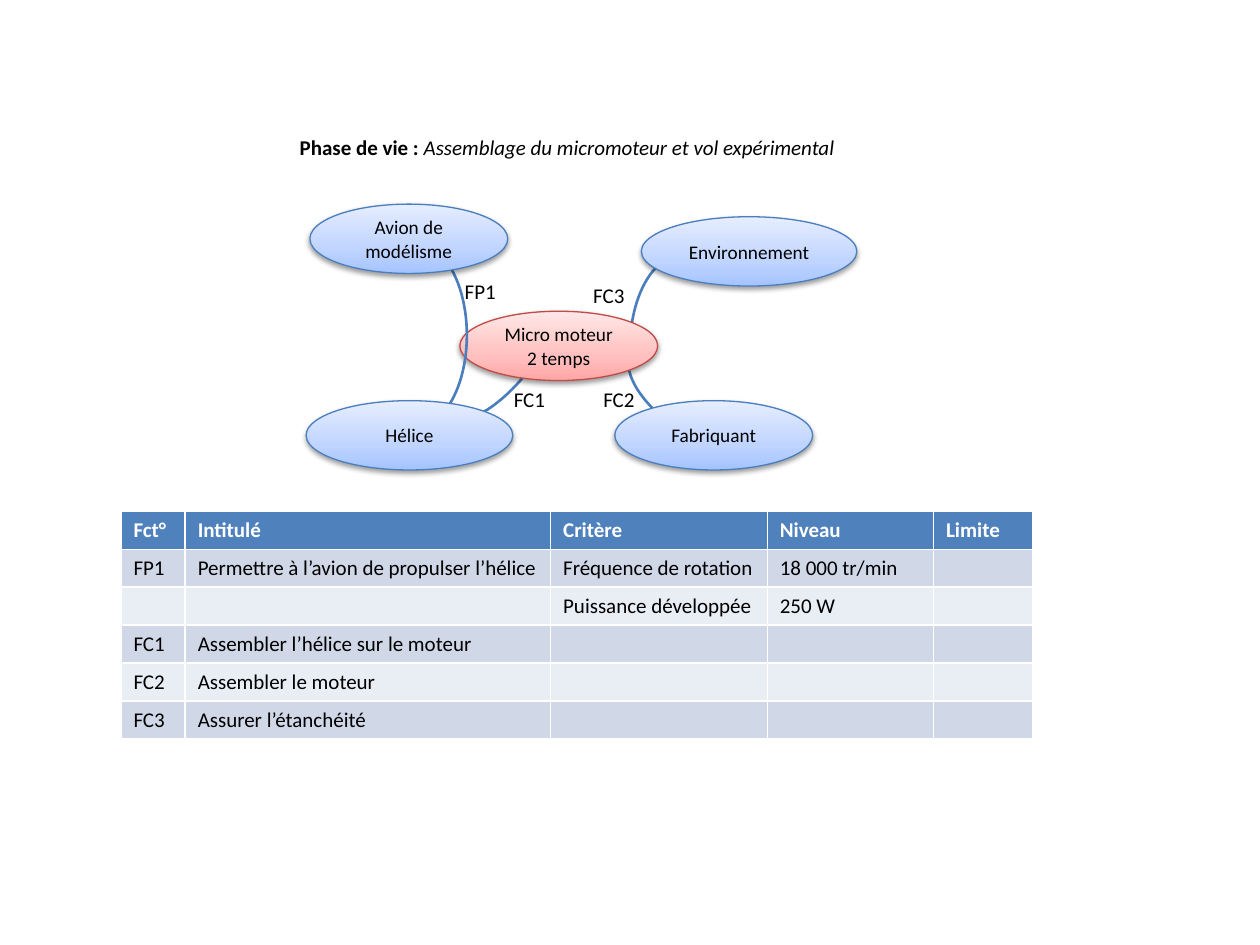
"""Build a slide with an interaction diagram and its table of functions."""
from copy import deepcopy
from pptx import Presentation
from pptx import util as u
from pptx.dml.color import RGBColor
from pptx.enum import shapes, text
from pptx.oxml import parse_xml
from pptx.oxml.ns import nsdecls, qn

BLACK = RGBColor(0, 0, 0)
WHITE = RGBColor(255, 255, 255)
BLUE_LINE = RGBColor(0x4B, 0x7E, 0xBC)
RED_LINE = RGBColor(0xBF, 0x4C, 0x48)
BLUES = [RGBColor(0xA4, 0xC4, 0xFF), RGBColor(0xBF, 0xD4, 0xFF), RGBColor(0xE6, 0xEE, 0xFF)]
REDS = [RGBColor(0xFF, 0xA6, 0xA5), RGBColor(0xFF, 0xC0, 0xBF), RGBColor(0xFF, 0xE7, 0xE7)]
HEADER = RGBColor(0x4F, 0x81, 0xBD)
BANDS = [RGBColor(0xE9, 0xED, 0xF4), RGBColor(0xD0, 0xD8, 0xE8)]
SHADOW = (
    f'<a:outerShdw {nsdecls("a")} blurRad="39370" dist="20320" dir="5400000" rotWithShape="0">'
    '<a:srgbClr val="000000"><a:alpha val="38000"/></a:srgbClr></a:outerShdw>'
)

prs = Presentation()
prs.slide_width, prs.slide_height = u.Inches(10), u.Inches(7.5)
slide = prs.slides.add_slide(prs.slide_layouts[6])
COL, ROW = prs.slide_width / 100, prs.slide_height / 75


def grid(left, top, width, height):
    return [round(v) for v in (left * COL, top * ROW, width * COL, height * ROW)]


def style(p, size, color=BLACK, bold=False):
    for r in p.runs:
        r.font.name, r.font.size, r.font.bold = "Calibri", u.Pt(size), bold
        r.font.color.rgb = color


s = slide.shapes.add_textbox(*grid(22.8, 10.2, 46.1, 3))
tf = s.text_frame
tf.word_wrap, tf.auto_size = True, text.MSO_AUTO_SIZE.SHAPE_TO_FIT_TEXT
p = tf.paragraphs[0]
for words in ("Phase de vie : ", "Assemblage du micromoteur et vol expérimental"):
    p.add_run().text = words
style(p, 12)
p.runs[0].font.bold = True
p.runs[1].font.italic = True

ARC, OVAL, LABEL = "arc", "oval", "label"
diagram = [
    (ARC, (46.7, 23.6, 14.7, 8.1), 270, False, (169.46, 0)),
    (ARC, (49.2, 27.1, 23.4, 10.2), 21.7, True, (111.29, 133.88)),
    (ARC, (28.5, 17.6, 23.4, 10.2), 296.4, True, (111.29, 133.88)),
    (OVAL, (36.5, 24.7, 15.7, 5.5), "Micro moteur 2 temps", REDS, RED_LINE),
    (OVAL, (48.8, 31.8, 15.7, 5.5), "Fabriquant", BLUES, BLUE_LINE),
    (LABEL, (35.9, 21.6, 8.6, 3), "FP1"),
    (LABEL, (39.8, 30.2, 8.6, 3), "FC1"),
    (LABEL, (46.9, 30.2, 8.6, 3), "FC2"),
    (ARC, (25.6, 22.5, 14.7, 8.2), 270, True, (107.08, 0)),
    (OVAL, (24.3, 31.8, 16.4, 5.5), "Hélice", BLUES, BLUE_LINE),
    (OVAL, (24.6, 16.2, 15.7, 5.5), "Avion de modélisme", BLUES, BLUE_LINE),
    (OVAL, (50.9, 17.2, 17.1, 5.5), "Environnement", BLUES, BLUE_LINE),
    (LABEL, (46.1, 21.9, 8.6, 3), "FC3"),
]
for kind, place, *details in diagram:
    if kind == ARC:
        rotation, flipped, angles = details
        s = slide.shapes.add_shape(shapes.MSO_SHAPE.ARC, *grid(*place))
        s.shadow.inherit = False
        s.fill.background()
        s.line.color.rgb, s.line.width = BLUE_LINE, u.Pt(1.5)
        s.rotation = rotation
        if flipped:
            s._element.spPr.xfrm.set("flipV", "1")
        s.adjustments[0], s.adjustments[1] = angles
        continue
    if kind == OVAL:
        s = slide.shapes.add_shape(shapes.MSO_SHAPE.OVAL, *grid(*place))
        s.fill.gradient()
        s.fill.gradient_angle = 90
        gs = s._element.spPr.find(".//" + qn("a:gs"))
        gs.addnext(deepcopy(gs))
        for stop, position, color in zip(s.fill.gradient_stops, (0, 0.35, 1), details[1]):
            stop.position, stop.color.rgb = position, color
        s.line.color.rgb, s.line.width = details[2], u.Pt(0.75)
        s.shadow.inherit = False
        s._element.spPr.find(qn("a:effectLst")).append(parse_xml(SHADOW))
    else:
        s = slide.shapes.add_textbox(*grid(*place))
        s.text_frame.auto_size = text.MSO_AUTO_SIZE.SHAPE_TO_FIT_TEXT
    tf = s.text_frame
    tf.word_wrap, tf.text = True, details[0]
    p = tf.paragraphs[0]
    if kind == OVAL:
        tf.vertical_anchor = text.MSO_ANCHOR.MIDDLE
        p.alignment = text.PP_ALIGN.CENTER
    style(p, 11 if kind == OVAL else 12)

rows = [
    ("Fct°", "Intitulé", "Critère", "Niveau", "Limite"),
    ("FP1", "Permettre à l’avion de propulser l’hélice", "Fréquence de rotation", "18 000 tr/min", ""),
    ("", "", "Puissance développée", "250 W", ""),
    ("FC1", "Assembler l’hélice sur le moteur", "", "", ""),
    ("FC2", "Assembler le moteur", "", "", ""),
    ("FC3", "Assurer l’étanchéité", "", "", ""),
]
widths = (5.1, 29, 17.2, 13.2, 7.9)
table = slide.shapes.add_table(len(rows), len(widths), *grid(9.6, 40.6, sum(widths), 3 * len(rows))).table
for column, width in zip(table.columns, widths):
    column.width = round(width * COL)
for i, row in enumerate(rows):
    for j, words in enumerate(row):
        cell = table.cell(i, j)
        cell.text = words
        cell.fill.solid()
        cell.fill.fore_color.rgb = BANDS[i % 2] if i else HEADER
        p = cell.text_frame.paragraphs[0]
        style(p, 12, BLACK if i else WHITE, i == 0)
        if not words:
            p._p.get_or_add_endParaRPr().set("sz", "1200")

prs.save("out.pptx")
